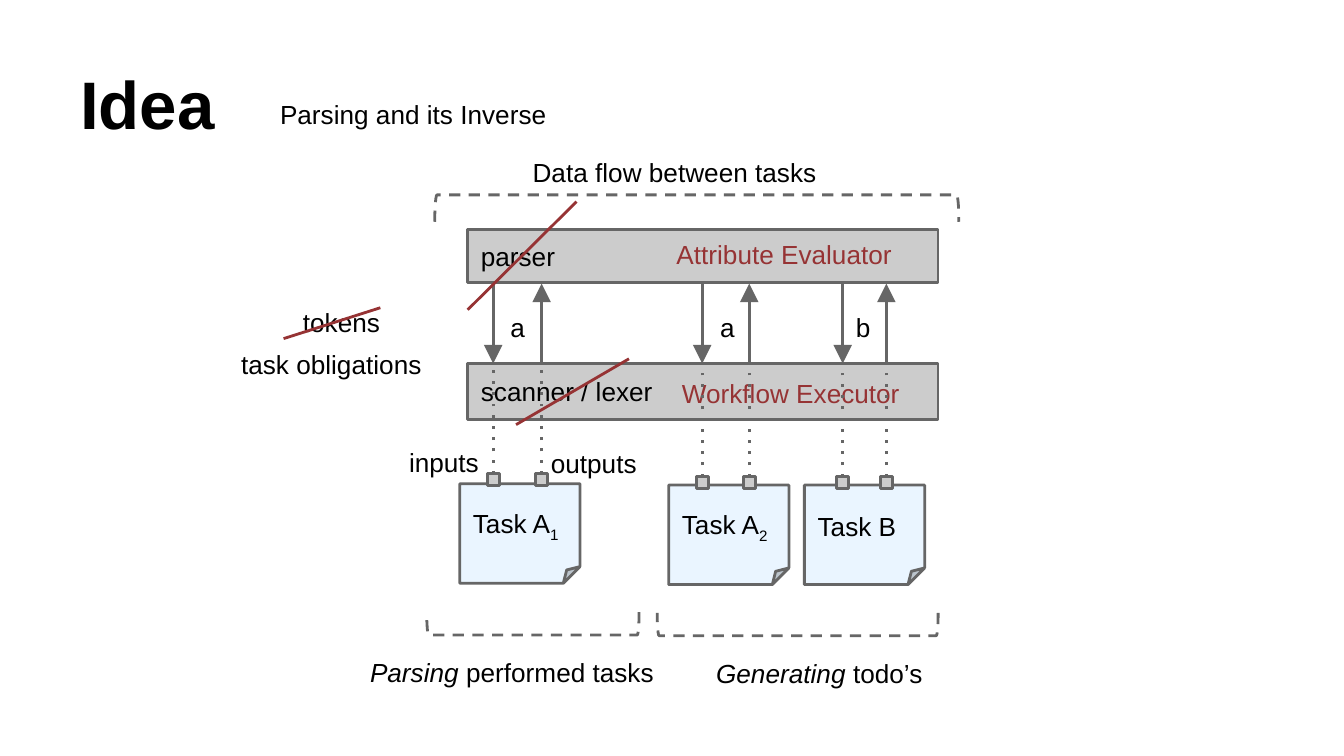
from lxml.etree import SubElement
from pptx import Presentation
from pptx.dml.color import RGBColor
from pptx.enum.shapes import MSO_CONNECTOR as Connector, MSO_SHAPE as Preset
from pptx.enum.text import MSO_ANCHOR as Anchor, PP_ALIGN as Align
from pptx.oxml.ns import qn
from pptx.util import Inches, Pt

CELL = Inches(0.1)  # the slide is a grid of 100 columns by 56.25 rows
COLUMNS, ROWS = 100, 56.25
BLACK, GREY, RED = "000000", "666666", "963334"
SILVER, PALE_BLUE = "CCCCCC", "EAF5FF"
PORT = 0.9
TASK_WIDTH, TASK_HEIGHT = 8.95, 7.4
LAYER_LEFT, LAYER_WIDTH = 34.8, 35
PARSER_TOP, PARSER_BOTTOM, SCANNER_TOP = 17.05, 21.1, 27.05


def grid(*cells):
    return [round(cell * CELL) for cell in cells]


def color(hex_string):
    return RGBColor.from_string(hex_string)


def stroke(item, hex_string=GREY, dash=None, head=None, tail=None):
    """Draw the line of a shape or connector, with optional dash and arrowheads."""
    item.line.width = Pt(1.5)
    item.line.color.rgb = color(hex_string)
    ln = item.get_or_add_ln()
    if dash:
        SubElement(ln, qn("a:prstDash"), val=dash)
    for tag, arrow in (("a:headEnd", head), ("a:tailEnd", tail)):
        if arrow:
            SubElement(ln, qn(tag), type=arrow, w="lg", len="lg")


def write(shape, text, hex_string=BLACK, size=14, bold=None,
          anchor=Anchor.TOP, italic_lead="", subscript=""):
    frame = shape.text_frame
    frame.word_wrap = True
    frame.vertical_anchor = anchor
    frame.margin_left = frame.margin_right = CELL
    frame.margin_top = frame.margin_bottom = CELL
    paragraph = frame.paragraphs[0]
    paragraph.alignment = Align.LEFT
    font = paragraph.font
    font.name, font.size, font.bold = "Arial", Pt(size), bold
    font.color.rgb = color(hex_string)
    if italic_lead:
        lead = paragraph.add_run()
        lead.text, lead.font.italic = italic_lead, True
    paragraph.add_run().text = text
    if subscript:
        index = paragraph.add_run()
        index.text = subscript
        index._r.get_or_add_rPr().set("baseline", "-25000")


def label(slide, left, top, width, height, text, **style):
    write(slide.shapes.add_textbox(*grid(left, top, width, height)), text, **style)


def block(slide, preset, left, top, width, height, fill=None, dash=None):
    shape = slide.shapes.add_shape(preset, *grid(left, top, width, height))
    shape.shadow.inherit = False
    if fill:
        shape.fill.solid()
        shape.fill.fore_color.rgb = color(fill)
    else:
        shape.fill.background()
    stroke(shape, dash=dash)
    return shape


def layer(slide, top, height, text):
    bar = block(slide, Preset.RECTANGLE, LAYER_LEFT, top, LAYER_WIDTH, height, SILVER)
    write(bar, text, anchor=Anchor.MIDDLE)


def task(slide, left, top, text, subscript=""):
    card = block(slide, Preset.FOLDED_CORNER, left, top, TASK_WIDTH, TASK_HEIGHT, PALE_BLUE)
    write(card, text, anchor=Anchor.MIDDLE, subscript=subscript)


def segment(slide, x1, y1, x2, y2, hex_string=GREY, **ends):
    line = slide.shapes.add_connector(Connector.STRAIGHT, *grid(x1, y1, x2, y2))
    stroke(line, hex_string, **ends)
    SubElement(line._element.spPr, qn("a:effectLst"))


def bracket(slide, preset, left, top, span, depth):
    """Lay a bracket on its side over the given horizontal span."""
    shape = block(slide, preset, left + (span - depth) / 2,
                  top - (span - depth) / 2, depth, span, dash="dash")
    shape.rotation = 270


def main():
    presentation = Presentation()
    presentation.slide_width, presentation.slide_height = grid(COLUMNS, ROWS)
    slide = presentation.slides.add_slide(presentation.slide_layouts[6])

    label(slide, 5, 2.25, 12.6, 9.4, "Idea", size=36, bold=True, anchor=Anchor.BOTTOM)
    layer(slide, PARSER_TOP, 4, "parser")
    layer(slide, SCANNER_TOP, 4.15, "scanner / lexer")

    # input column, output column, top of the ports
    channels = [(36.7, 40.3, 35.25), (52.25, 55.75, 35.45), (62.7, 65.95, 35.45)]
    for left, symbol in [(52.6, "a"), (62.7, "b"), (37, "a")]:
        label(slide, left, 22.2, 3.3, 4, symbol)
    for inward, outward, _ in channels:
        segment(slide, inward, PARSER_BOTTOM, inward, SCANNER_TOP, tail="triangle")
        segment(slide, outward, PARSER_BOTTOM, outward, SCANNER_TOP, head="triangle")

    segment(slide, 34.8, 23.05, 42.9, 15, RED)
    segment(slide, 38.4, 31.6, 46.8, 26.7, RED)
    label(slide, 49.35, 16.7, 19.5, 4.2, "Attribute Evaluator", hex_string=RED)
    label(slide, 49.75, 27.1, 18.7, 4, "Workflow Executor", hex_string=RED)

    task(slide, 34.2, 36, "Task A", subscript="1")
    task(slide, 49.75, 36.1, "Task A", subscript="2")
    task(slide, 59.85, 36.1, "Task B")
    for inward, outward, top in channels:
        for center in (inward, outward):
            block(slide, Preset.RECTANGLE, center - PORT / 2, top, PORT, PORT, SILVER)

    label(slide, 21.55, 21.8, 8.9, 4.8, "tokens")
    segment(slide, 21.1, 25.2, 28.3, 22.9, RED)
    label(slide, 16.95, 24.9, 16.2, 4.2, "task obligations")
    for inward, outward, top in channels:
        for center in (inward, outward):
            segment(slide, center, top, center, SCANNER_TOP, dash="dot")

    label(slide, 19.85, 6.35, 23.1, 3.6, "Parsing and its Inverse")
    bracket(slide, Preset.LEFT_BRACKET, 31.75, 45.55, 15.8, 1.7)
    bracket(slide, Preset.LEFT_BRACKET, 48.9, 45.6, 20.9, 1.7)
    label(slide, 26.55, 47.85, 24.6, 4.2, " performed tasks", italic_lead="Parsing")
    label(slide, 52.3, 47.9, 17.7, 4, " todo’s", italic_lead="Generating")
    label(slide, 29.45, 32.2, 8.9, 4.2, "inputs")
    label(slide, 40, 32.3, 8.9, 4, "outputs")
    bracket(slide, Preset.RIGHT_BRACKET, 32.35, 14.5, 39, 2)
    label(slide, 38.65, 10.65, 24.6, 3.6, "Data flow between tasks")

    presentation.save("out.pptx")


if __name__ == "__main__":
    main()
